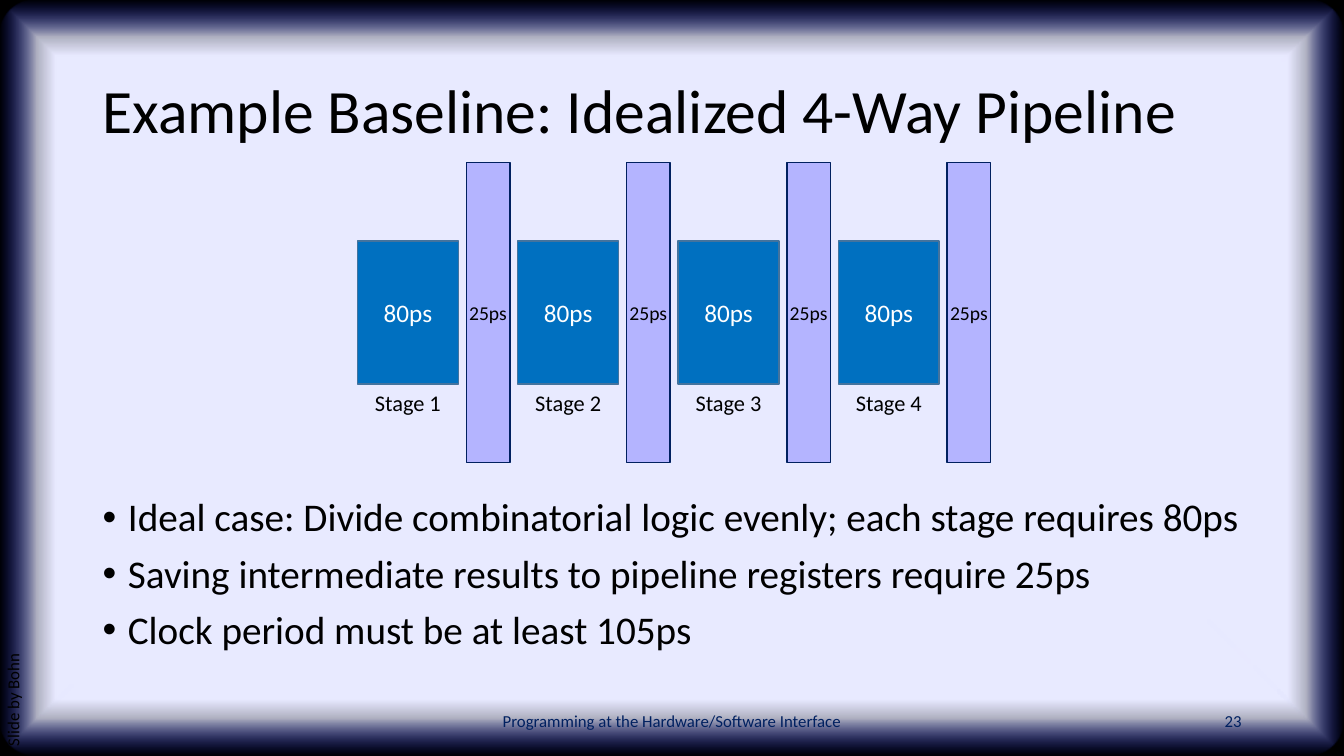
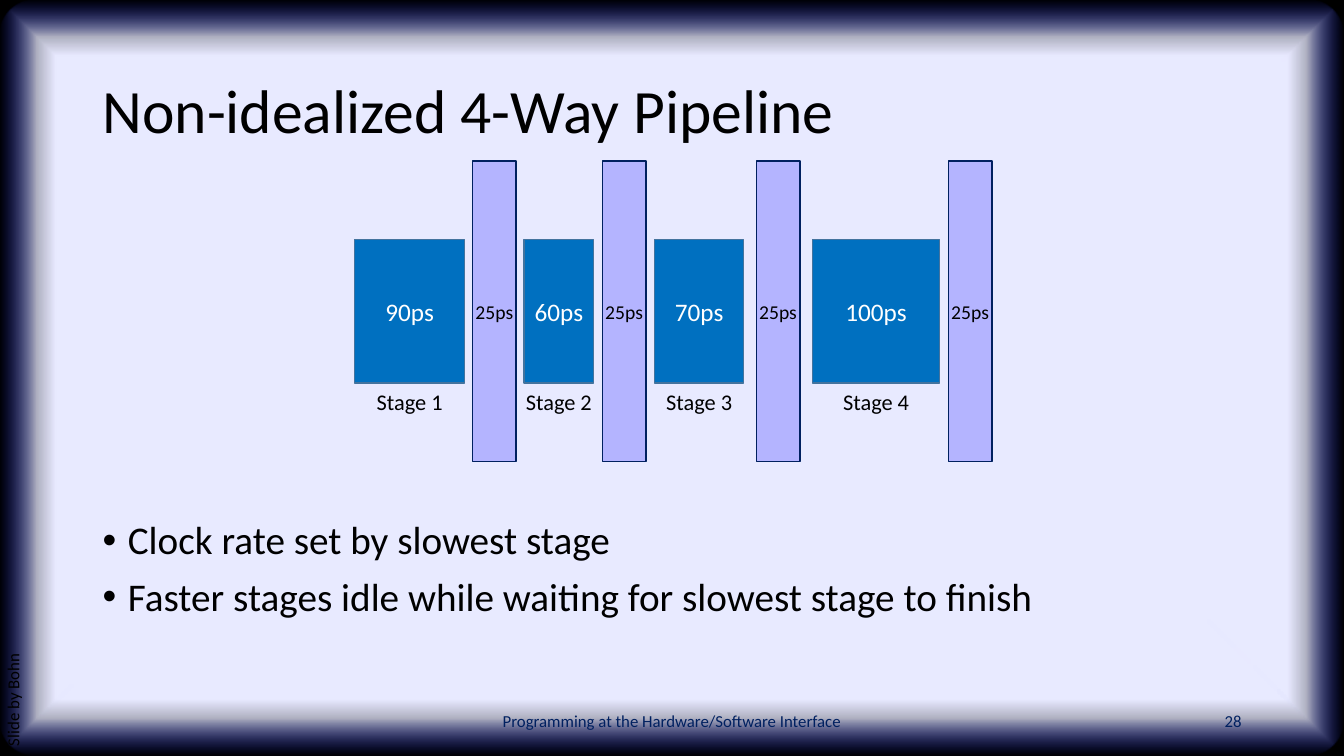
import pptx
import pptx.dml.color
import pptx.enum.shapes
import pptx.enum.text
import pptx.oxml
import pptx.oxml.ns
import pptx.util

Cm = pptx.util.Cm
Pt = pptx.util.Pt
RECTANGLE = pptx.enum.shapes.MSO_SHAPE.RECTANGLE
ROUNDED = pptx.enum.shapes.MSO_SHAPE.ROUNDED_RECTANGLE
ALIGN = pptx.enum.text.PP_ALIGN
ANCHOR = pptx.enum.text.MSO_ANCHOR
NO_AUTOFIT = pptx.enum.text.MSO_AUTO_SIZE.NONE

FONT = "Calibri"
BLACK = "000000"
WHITE = "FFFFFF"
NAVY = "002060"
PAPER = "E8EAFF"
GLOW = "162AFF"
STAGE_FILL = "0070C0"
STAGE_EDGE = "43739E"
REGISTER_FILL = "B4B4FF"

SLIDE_WIDTH, SLIDE_HEIGHT = 33.87, 19.05
MARGIN = 2.33
CONTENT_WIDTH = SLIDE_WIDTH - 2 * MARGIN
FOOTER_TOP, FOOTER_HEIGHT = 17.66, 1.01
REGISTER_WIDTH = 1.1
STAGE_HEIGHT = 3.61
LABEL_WIDTH, LABEL_HEIGHT = 2.2, 0.94


def color(value):
    return pptx.dml.color.RGBColor.from_string(value)


def place(part, left, top, width, height):
    part.left, part.top = Cm(left), Cm(top)
    part.width, part.height = Cm(width), Cm(height)


def format_paragraph(paragraph, size, text_color, align=ALIGN.LEFT, spacing=None):
    paragraph.alignment = align
    paragraph.line_spacing = spacing
    paragraph.font.name = FONT
    paragraph.font.size = Pt(size)
    paragraph.font.color.rgb = color(text_color)


def write(part, text, size, text_color, align, anchor=ANCHOR.MIDDLE, wrap=True):
    frame = part.text_frame
    frame.text = text
    frame.word_wrap = wrap
    frame.vertical_anchor = anchor
    format_paragraph(frame.paragraphs[0], size, text_color, align)


def add_panel(shapes, kind, box, fill, edge=None):
    panel = shapes.add_shape(kind, *map(Cm, box))
    panel.shadow.inherit = False
    panel.fill.solid()
    panel.fill.fore_color.rgb = color(fill)
    if edge:
        panel.line.color.rgb = color(edge)
        panel.line.width = Pt(1)
    else:
        panel.line.fill.background()
    return panel


def add_caption(shapes, box, *style, **options):
    caption = shapes.add_textbox(*map(Cm, box))
    write(caption, *style, **options)
    return caption


def apply_edge_gradient(panel):
    stops = "".join(
        f'<a:gs pos="{position}000"><a:srgbClr val="{value}">'
        f'<a:alpha val="{alpha}000"/></a:srgbClr></a:gs>'
        for position, value, alpha in [(85, PAPER, 100), (90, PAPER, 75), (100, GLOW, 0)]
    )
    gradient = pptx.oxml.parse_xml(
        f'<a:gradFill {pptx.oxml.ns.nsdecls("a")} rotWithShape="1"><a:gsLst>{stops}</a:gsLst>'
        '<a:path path="shape"><a:fillToRect l="50000" t="50000" r="50000" b="50000"/>'
        "</a:path></a:gradFill>"
    )
    properties = panel.element.spPr
    properties.replace(properties.find(pptx.oxml.ns.qn("a:solidFill")), gradient)


def move_backdrop_to_layout(slide):
    box = (0, 0, SLIDE_WIDTH, SLIDE_HEIGHT)
    border = add_panel(slide.shapes, RECTANGLE, box, BLACK)
    paper = add_panel(slide.shapes, ROUNDED, box, PAPER)
    paper.adjustments[0] = 0.05
    apply_edge_gradient(paper)
    for index, panel in enumerate((border, paper), start=2):
        slide.slide_layout.shapes.element.insert(index, panel.element)


def add_title(slide, text):
    title = slide.shapes.title
    place(title, MARGIN, 1.01, CONTENT_WIDTH, 3.68)
    write(title, text, 44, BLACK, ALIGN.LEFT)
    title.text_frame.paragraphs[0].line_spacing = 0.9
    title.text_frame.auto_size = NO_AUTOFIT


def add_points(slide, top, height, points):
    body = slide.placeholders[1]
    place(body, MARGIN, top, CONTENT_WIDTH, height)
    frame = body.text_frame
    frame.text = "\n".join(points)
    frame.auto_size = NO_AUTOFIT
    for index, paragraph in enumerate(frame.paragraphs):
        properties = paragraph._p.get_or_add_pPr()
        properties.set("marL", str(Cm(0.64)))
        properties.set("indent", str(-Cm(0.64)))
        format_paragraph(paragraph, 28, BLACK, spacing=0.9)
        paragraph.space_before = Pt(10 if index else 0)


def add_footer(slide, number):
    add_caption(slide.shapes, (11.22, FOOTER_TOP, 11.43, FOOTER_HEIGHT),
                "Programming at the Hardware/Software Interface", 12, NAVY, ALIGN.CENTER)
    add_caption(slide.shapes, (23.92, FOOTER_TOP, 7.62, FOOTER_HEIGHT),
                str(number), 12, NAVY, ALIGN.RIGHT)
    byline = add_caption(slide.shapes, (-6.2, 11.84, 13.41, 1.01),
                         "Slide by Bohn", 12, BLACK, ALIGN.LEFT, anchor=ANCHOR.TOP)
    byline.text_frame.paragraphs[0].line_spacing = 0.9
    byline.rotation = 270


def add_pipeline(slide, left, top, height, stages):
    shapes = slide.shapes.add_group_shape().shapes
    stage_top = top + (height - STAGE_HEIGHT) / 2
    for number, (delay, width, gap) in enumerate(stages, start=1):
        logic = add_panel(shapes, RECTANGLE, (left, stage_top, width, STAGE_HEIGHT),
                          STAGE_FILL, STAGE_EDGE)
        write(logic, f"{delay}ps", 18, WHITE, ALIGN.CENTER)
        logic.text_frame.margin_left = logic.text_frame.margin_right = 0
        label_left = left + (width - LABEL_WIDTH) / 2
        add_caption(shapes, (label_left, stage_top + STAGE_HEIGHT, LABEL_WIDTH, LABEL_HEIGHT),
                    f"Stage {number}", 16, BLACK, ALIGN.CENTER, anchor=ANCHOR.TOP, wrap=False)
        left += width + gap
        register = add_panel(shapes, RECTANGLE, (left, top, REGISTER_WIDTH, height),
                             REGISTER_FILL, NAVY)
        write(register, "25ps", 14, BLACK, ALIGN.CENTER, wrap=False)
        left += REGISTER_WIDTH + gap


def add_pipeline_slide(deck, number, title, pipeline, points):
    slide = deck.slides.add_slide(deck.slide_layouts[1])
    add_title(slide, title)
    add_points(slide, *points)
    add_footer(slide, number)
    add_pipeline(slide, *pipeline)
    return slide


def main():
    deck = pptx.Presentation()
    deck.slide_width, deck.slide_height = Cm(SLIDE_WIDTH), Cm(SLIDE_HEIGHT)
    baseline = add_pipeline_slide(
        deck, 23, "Example Baseline: Idealized 4-Way Pipeline",
        (9.01, 4.09, 7.57, [(80, 2.54, 0.2)] * 4),
        (12.42, 4.67, [
            "Ideal case: Divide combinatorial logic evenly; each stage requires 80ps",
            "Saving intermediate results to pipeline registers require 25ps",
            "Clock period must be at least 105ps",
        ]),
    )
    move_backdrop_to_layout(baseline)
    add_pipeline_slide(
        deck, 28, "Non-idealized 4-Way Pipeline",
        (8.94, 4.06, 7.57,
         [(90, 2.77, 0.2), (60, 1.75, 0.22), (70, 2.24, 0.32), (100, 3.2, 0.22)]),
        (13, 4.14, [
            "Clock rate set by slowest stage",
            "Faster stages idle while waiting for slowest stage to finish",
        ]),
    )
    deck.save("out.pptx")


if __name__ == "__main__":
    main()
